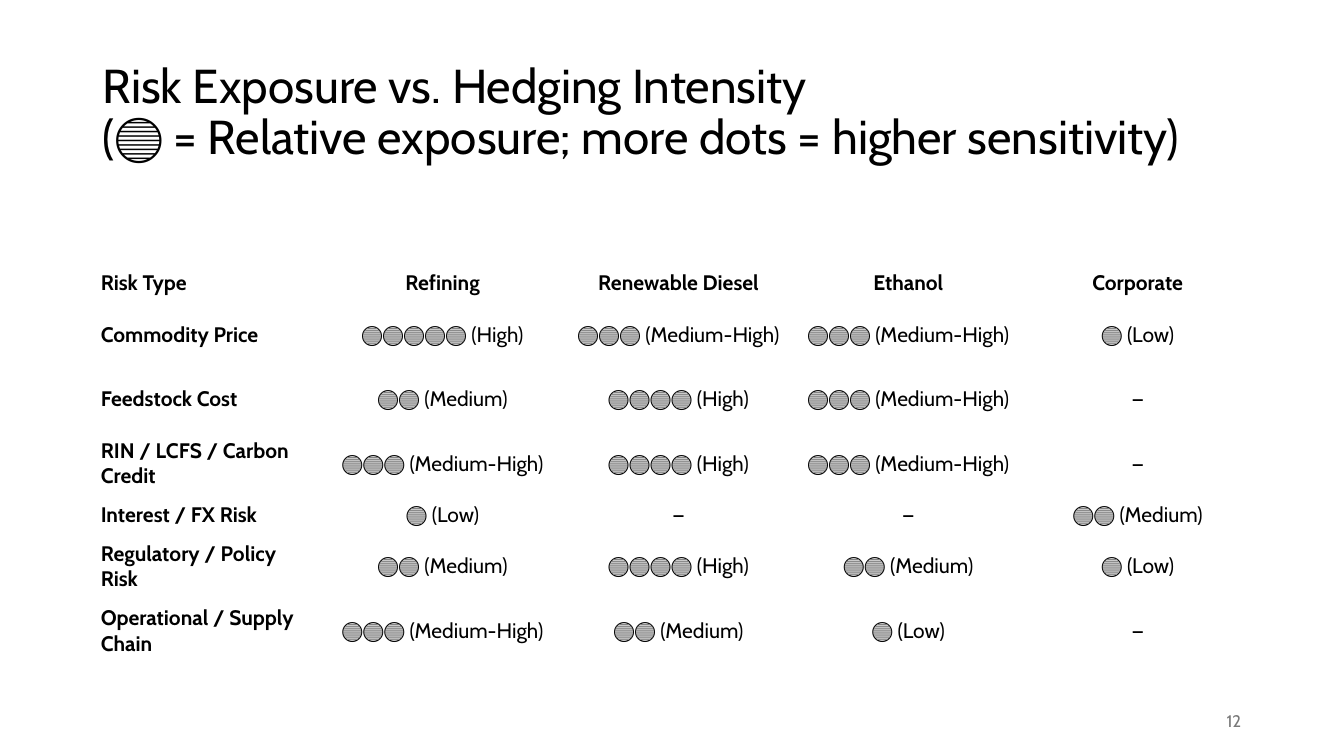
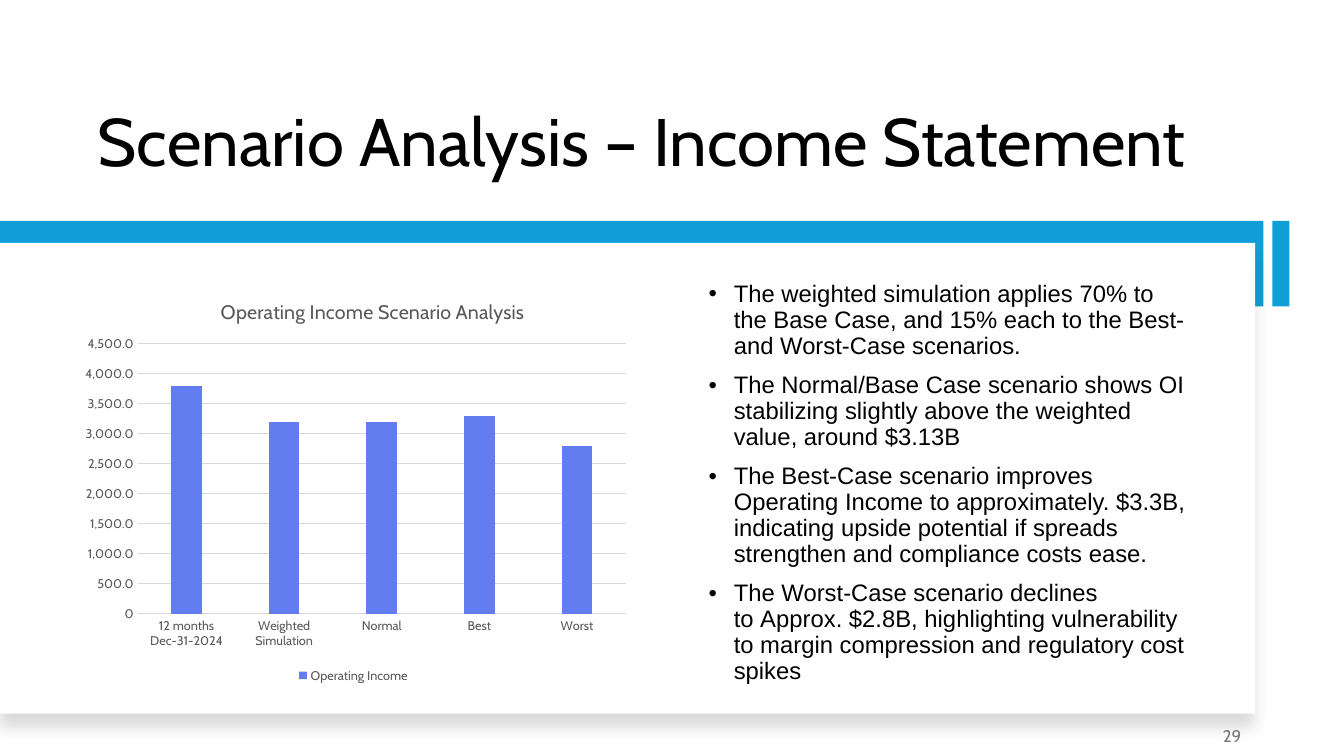
from lxml import etree
from pptx import Presentation
from pptx import util as u
from pptx.chart.data import CategoryChartData
from pptx.dml.color import RGBColor
from pptx.enum import chart as charts, shapes, text
from pptx.oxml import parse_xml
from pptx.oxml.ns import nsdecls, qn

# Content
NBSP = chr(160)  # keeps two words on one line
RISK_TITLE = ["Risk Exposure vs. Hedging Intensity",
              "(🔵 = Relative exposure; more dots = higher sensitivity)"]
RISK_HEADER = ["Risk Type", "Refining", "Renewable Diesel", "Ethanol", "Corporate"]
EXPOSURES = [  # risk, dots per segment, row height
    ("Commodity Price", (5, 3, 3, 1), 0.64),
    ("Feedstock Cost", (2, 4, 3, 0), 0.64),
    ("RIN / LCFS / Carbon Credit", (3, 4, 3, 0), 0.64),
    ("Interest / FX Risk", (1, 0, 0, 2), 0.38),
    ("Regulatory / Policy Risk", (2, 4, 2, 1), 0.64),
    ("Operational / Supply Chain", (3, 2, 1, 0), 0.64),
]
LEVELS = {1: "Low", 2: "Medium", 3: "Medium-High", 4: "High", 5: "High"}
COLUMN_WIDTHS = [2.28, 2.4, 2.28, 2.28, 2.27]
HEADER_HEIGHT = 0.38

SCENARIO_TITLE = ["Scenario Analysis – Income Statement"]
FINDINGS = [
    "The weighted simulation applies 70% to the Base Case, and 15% each to the "
    "Best- and Worst-Case scenarios.",
    f"The{NBSP}Normal/Base Case scenario shows OI stabilizing slightly above the "
    f"weighted value, around{NBSP}$3.13B",
    f"The Best-Case scenario improves Operating Income to{NBSP}approximately. $3.3B, "
    "indicating upside potential if spreads strengthen and compliance costs ease.",
    f"The{NBSP}Worst-Case scenario declines to{NBSP}Approx. $2.8B, highlighting "
    "vulnerability to margin compression and regulatory cost spikes",
]
CHART_TITLE = "Operating Income Scenario Analysis"
SERIES = "Operating Income"
INCOME = {"12 months\nDec-31-2024": 3800, "Weighted Simulation": 3200,
          "Normal": 3200, "Best": 3300, "Worst": 2800}

# Shared style
FONT, BODY_FONT = "Cabin", "Arial"
BLACK, WHITE, GREY, AXIS_GREY = "000000", "FFFFFF", "797979", "595959"
GRID_GREY, BAND_BLUE, BAR_BLUE = "D9D9D9", "0F9ED5", "637CEF"
ALIGN, ANCHOR = text.PP_ALIGN, text.MSO_ANCHOR


def color(value):
    return RGBColor.from_string(value)


def box(*lengths):
    return [u.Inches(length) for length in lengths]


def style_font(font, size, ink=BLACK, name=FONT, bold=False):
    font.size, font.name, font.bold = u.Pt(size), name, bold
    font.color.rgb = color(ink)


def write(frame, paragraphs, size, align=ALIGN.LEFT, anchor=ANCHOR.MIDDLE,
          spacing=None, before=0, bullet=False, **font):
    """Fill a text frame with one paragraph per string."""
    frame.word_wrap = True
    frame.vertical_anchor = anchor
    for i, words in enumerate(paragraphs):
        para = frame.paragraphs[0] if i == 0 else frame.add_paragraph()
        para.alignment = align
        para.space_before = u.Pt(before if i else 0)
        if spacing:
            para.line_spacing = spacing
        if bullet:
            props = para._p.get_or_add_pPr()
            props.set("marL", str(u.Inches(0.25)))
            props.set("indent", str(u.Inches(-0.25)))
            etree.SubElement(props, qn("a:buFont")).set("typeface", "Arial")
            etree.SubElement(props, qn("a:buChar")).set("char", "•")
        run = para.add_run()
        run.text = words
        style_font(run.font, size, **font)


def new_slide(prs, title, place, size, anchor, number, number_top):
    slide = prs.slides.add_slide(prs.slide_layouts[5])
    heading = slide.shapes.title
    heading.left, heading.top, heading.width, heading.height = box(*place)
    heading.text_frame.auto_size = text.MSO_AUTO_SIZE.NONE
    write(heading.text_frame, title, size, anchor=anchor, spacing=0.9)
    page = slide.shapes.add_textbox(*box(9.41, number_top, 3, 0.4))
    write(page.text_frame, [number], 12, align=ALIGN.RIGHT, ink=GREY)
    return slide


def add_band(slide, place, fill):
    band = slide.shapes.add_shape(shapes.MSO_SHAPE.RECTANGLE, *box(*place))
    band.shadow.inherit = False
    band.fill.solid()
    band.fill.fore_color.rgb = color(fill)
    band.line.fill.background()
    return band


def add_shadow(panel):
    effects = panel._element.spPr.find(qn("a:effectLst"))
    effects.append(parse_xml(
        f'<a:outerShdw {nsdecls("a")} blurRad="{u.Pt(11)}" dist="{u.Pt(10)}" '
        'dir="5400000" algn="t" rotWithShape="0"><a:srgbClr val="000000">'
        '<a:alpha val="15000"/></a:srgbClr></a:outerShdw>'))


def set_layout(parent, index, inner=False, **fractions):
    """Fix a chart part's place, in fractions of the chart."""
    old = parent.find(qn("c:layout"))
    if old is not None:
        parent.remove(old)
    layout = etree.Element(qn("c:layout"))
    manual = etree.SubElement(layout, qn("c:manualLayout"))
    values = {"layoutTarget": "inner"} if inner else {}
    values.update(xMode="edge", yMode="edge", **fractions)
    for key, value in values.items():
        etree.SubElement(manual, qn(f"c:{key}")).set("val", str(value))
    parent.insert(index, layout)


def dots(count):
    return f"{'🔵' * count} ({LEVELS[count]})" if count else "—"


def add_risk_table(slide):
    rows = [RISK_HEADER] + [[risk, *map(dots, counts)] for risk, counts, _ in EXPOSURES]
    heights = [HEADER_HEIGHT] + [height for *_, height in EXPOSURES]
    table = slide.shapes.add_table(
        len(rows), len(RISK_HEADER),
        *box(0.91, 2.62, sum(COLUMN_WIDTHS), sum(heights))).table
    table.first_row = table.horz_banding = False
    for column, width in zip(table.columns, COLUMN_WIDTHS):
        column.width = u.Inches(width)
    for r, (row, height) in enumerate(zip(rows, heights)):
        table.rows[r].height = u.Inches(height)
        for c, words in enumerate(row):
            cell = table.cell(r, c)
            cell.fill.background()
            cell.margin_left = cell.margin_right = u.Inches(0.09)
            cell.margin_top = cell.margin_bottom = u.Inches(0.04)
            cell.vertical_anchor = ANCHOR.MIDDLE
            write(cell.text_frame, [words], 15, bold=r == 0 or c == 0,
                  align=ALIGN.CENTER if c else ALIGN.LEFT)


def add_income_chart(slide):
    data = CategoryChartData()
    data.categories = list(INCOME)
    data.add_series(SERIES, list(INCOME.values()))
    chart = slide.shapes.add_chart(
        charts.XL_CHART_TYPE.COLUMN_CLUSTERED, *box(0.69, 2.76, 5.63, 4.06), data).chart
    style_font(chart.font, 10)

    # Title and legend
    chart.has_title = True
    write(chart.chart_title.text_frame, [CHART_TITLE], 14, align=ALIGN.CENTER, ink=AXIS_GREY)
    set_layout(chart.chart_title._element, 1, x=0.26, y=0.04)
    chart.has_legend = True
    chart.legend.position = charts.XL_LEGEND_POSITION.BOTTOM
    chart.legend.include_in_layout = False
    style_font(chart.legend.font, 9, AXIS_GREY)

    # Columns
    plot = chart.plots[0]
    plot.gap_width, plot.overlap, plot.vary_by_categories = 219, -27, False
    bars = plot.series[0].format.fill
    bars.solid()
    bars.fore_color.rgb = color(BAR_BLUE)
    set_layout(chart._chartSpace.chart.plotArea, 0, inner=True,
               x=0.12, y=0.16, w=0.86, h=0.66)

    # Axes
    values, scenarios = chart.value_axis, chart.category_axis
    for axis in (values, scenarios):
        axis.major_tick_mark = axis.minor_tick_mark = charts.XL_TICK_MARK.NONE
        style_font(axis.tick_labels.font, 9, AXIS_GREY)
    values.minimum_scale, values.maximum_scale, values.major_unit = 0, 4500, 500
    values.tick_labels.number_format = "#,##0.0;(#,##0.0);0"
    values.tick_labels.number_format_is_linked = False
    values.format.line.fill.background()
    for line in (values.major_gridlines.format.line, scenarios.format.line):
        line.color.rgb = color(GRID_GREY)
        line.width = u.Pt(0.75)


def main():
    prs = Presentation()
    prs.slide_width, prs.slide_height = box(13.33, 7.5)

    # Risk exposure
    risk = new_slide(prs, RISK_TITLE, (0.92, 0.4, 11.5, 1.45), 34,
                     ANCHOR.MIDDLE, "12", 6.95)
    add_risk_table(risk)

    # Scenario analysis
    scenario = new_slide(prs, SCENARIO_TITLE, (0.87, 0.43, 11.09, 1.42), 48,
                         ANCHOR.BOTTOM, "29", 7.1)
    add_band(scenario, (0, 2.19, 12.53, 0.85), BAND_BLUE)
    add_band(scenario, (12.62, 2.19, 0.17, 0.85), BAND_BLUE)
    add_shadow(add_band(scenario, (0, 2.41, 12.45, 4.67), WHITE))
    add_income_chart(scenario)
    findings = scenario.shapes.add_textbox(*box(6.93, 2.75, 4.96, 4.1))
    write(findings.text_frame, FINDINGS, 17, anchor=ANCHOR.TOP, spacing=0.9,
          before=10, bullet=True, name=BODY_FONT)

    prs.save("out.pptx")


if __name__ == "__main__":
    main()
